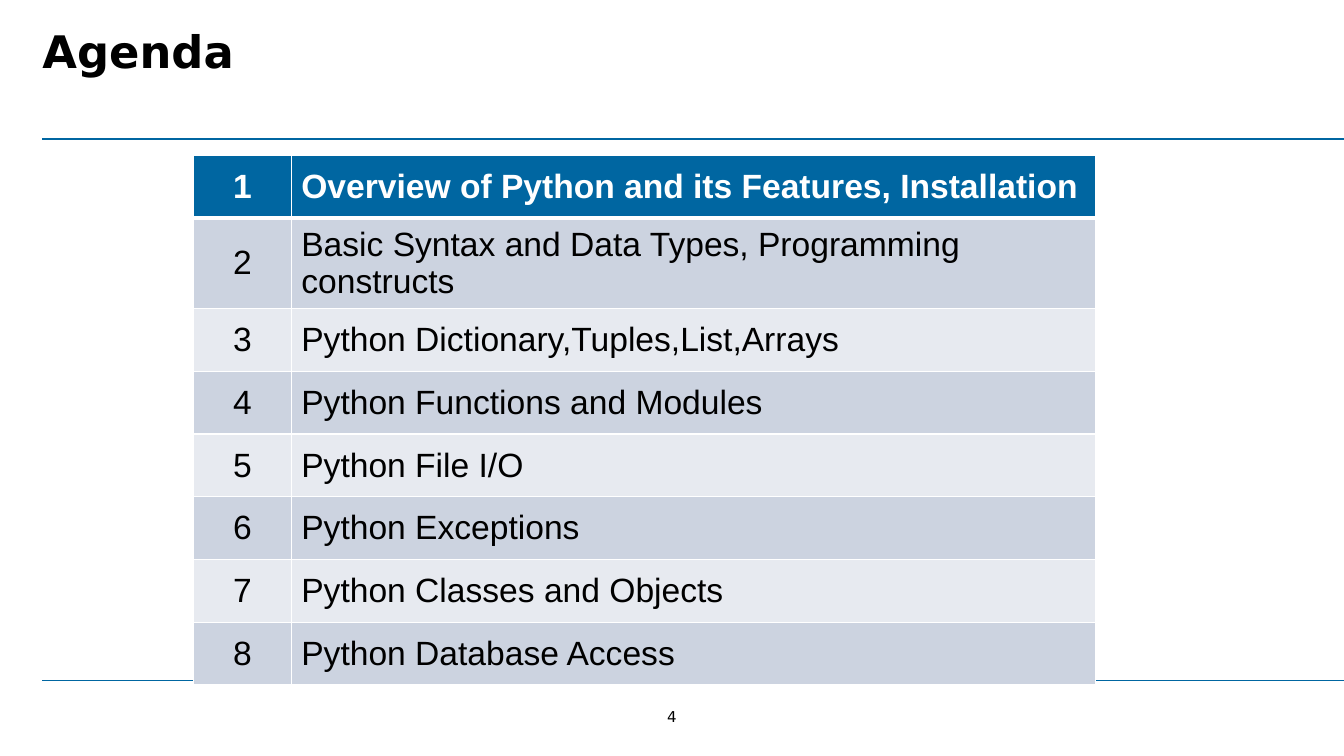
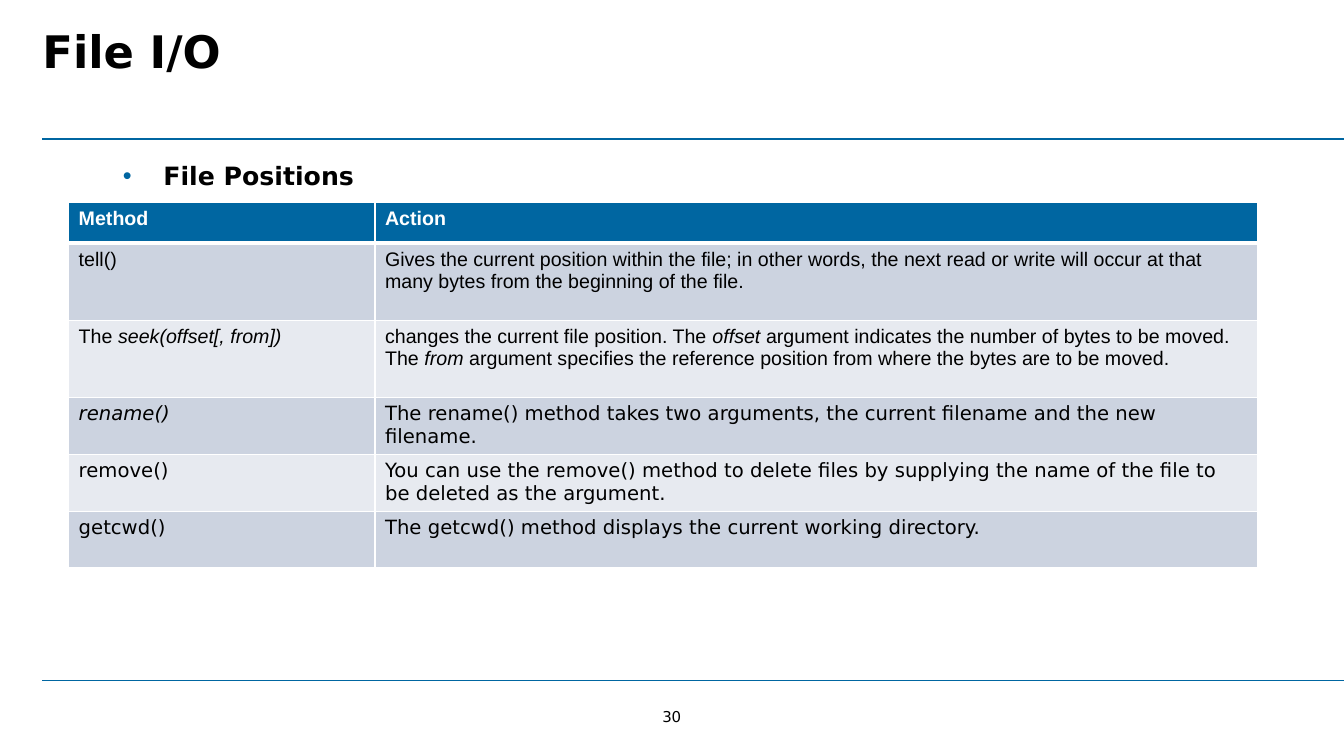
import pptx
import pptx.util
import pptx.dml.color
import pptx.enum.shapes
import pptx.enum.text
import pptx.oxml
import pptx.oxml.ns
from lxml import etree

Cm = pptx.util.Cm
Pt = pptx.util.Pt
ALIGN = pptx.enum.text.PP_ALIGN
ANCHOR = pptx.enum.text.MSO_ANCHOR
AUTO_SIZE = pptx.enum.text.MSO_AUTO_SIZE

SLIDE_WIDTH, SLIDE_HEIGHT = 33.87, 19.05
MARGIN = 1.07
CONTENT_WIDTH = 32.13
RULE_TOPS = (3.51, 17.15)
BLUE, BLACK, WHITE = "0066A1", "000000", "FFFFFF"
BANDS = ("CCD3E0", "E7EAF0")
HEADING_FONT, TABLE_FONT = "DejaVu Sans", "Arial"

AGENDA = [
    "Overview of Python and its Features, Installation",
    "Basic Syntax and Data Types, Programming constructs",
    "Python Dictionary,Tuples,List,Arrays",
    "Python Functions and Modules",
    "Python File I/O",
    "Python Exceptions",
    "Python Classes and Objects",
    "Python Database Access",
]

FILE_METHODS = [
    ("Method", "Action"),
    ("tell()", "Gives the current position within the file; in other words, the next read "
               "or write will occur at that many bytes from the beginning of the file."),
    ("The *seek(offset[, from])*",
     "changes the current file position. The *offset *argument indicates the number of bytes "
     "to be moved. The *from* argument specifies the reference position from where the bytes "
     "are to be moved."),
    ("*rename()*", "The rename() method takes two arguments, the current filename and the "
                   "new filename."),
    ("remove()", "You can use the remove() method to delete files by supplying the name of "
                 "the file to be deleted as the argument."),
    ("getcwd()", "The getcwd() method displays the current working directory."),
]


def color(value):
    return pptx.dml.color.RGBColor.from_string(value)


def add_child(parent, tag, **attributes):
    return etree.SubElement(parent, pptx.oxml.ns.qn(tag), attributes)


def style_run(run, size, font=HEADING_FONT, text_color=BLACK, bold=False, italic=False):
    run.font.size = Pt(size)
    run.font.name = font
    run.font.color.rgb = color(text_color)
    run.font.bold = bold
    run.font.italic = italic


def set_insets(text_frame, horizontal=0, vertical=0):
    text_frame.margin_left = text_frame.margin_right = Cm(horizontal)
    text_frame.margin_top = text_frame.margin_bottom = Cm(vertical)


def add_text(slide, text, left, top, width, height, size, bold=False, wrap=True):
    shape = slide.shapes.add_textbox(Cm(left), Cm(top), Cm(width), Cm(height))
    text_frame = shape.text_frame
    set_insets(text_frame)
    text_frame.word_wrap = wrap
    text_frame.text = text
    paragraph = text_frame.paragraphs[0]
    style_run(paragraph.runs[0], size, bold=bold)
    return text_frame


def add_rule(slide, top):
    rule = slide.shapes.add_connector(
        pptx.enum.shapes.MSO_CONNECTOR.STRAIGHT,
        Cm(MARGIN), Cm(top), Cm(SLIDE_WIDTH), Cm(top))
    rule.line.color.rgb = color(BLUE)
    rule.line.width = Pt(1.25)
    add_child(rule._element.spPr, "a:effectLst")


def add_page_number(slide, number):
    text_frame = add_text(slide, str(number), 16.6, 17.83, 0.66, 0.46, 10.7, wrap=False)
    text_frame.vertical_anchor = ANCHOR.MIDDLE
    text_frame.paragraphs[0].alignment = ALIGN.CENTER


def set_title(slide, text):
    title = slide.shapes.title
    title.left, title.top = Cm(MARGIN), Cm(0.46)
    title.width, title.height = Cm(CONTENT_WIDTH), Cm(2.67)
    text_frame = title.text_frame
    text_frame.text = text
    set_insets(text_frame, vertical=0.13)
    text_frame.vertical_anchor = ANCHOR.TOP
    text_frame.auto_size = AUTO_SIZE.NONE
    paragraph = text_frame.paragraphs[0]
    paragraph.alignment = ALIGN.LEFT
    style_run(paragraph.runs[0], 32, bold=True)


def add_slide(presentation, title, number):
    slide = presentation.slides.add_slide(presentation.slide_layouts[5])
    for top in RULE_TOPS:
        add_rule(slide, top)
    add_page_number(slide, number)
    set_title(slide, title)
    return slide


def add_bullet_heading(slide, text, top):
    text_frame = add_text(slide, text, MARGIN, top, CONTENT_WIDTH, 1, 18, bold=True)
    paragraph = text_frame.paragraphs[0]
    paragraph.space_after = Pt(4)
    properties = paragraph._p.get_or_add_pPr()
    properties.set("marL", str(Cm(3.05)))
    properties.set("indent", str(Cm(-1.02)))
    bullet_color = add_child(properties, "a:buClr")
    add_child(bullet_color, "a:srgbClr", val=BLUE)
    add_child(properties, "a:buFont", typeface="Arial")
    add_child(properties, "a:buChar", char="•")


def set_borders(cell, row_index):
    widths = {
        "a:lnL": 1,
        "a:lnR": 1,
        "a:lnT": 3 if row_index == 1 else 1,
        "a:lnB": 3 if row_index == 0 else 1,
    }
    properties = cell._tc.get_or_add_tcPr()
    for tag, width in widths.items():
        border = add_child(properties, tag, w=str(Pt(width)))
        fill = add_child(border, "a:solidFill")
        add_child(fill, "a:srgbClr", val=WHITE)


def fill_cell(cell, text, row_index, size, font):
    is_header = row_index == 0
    set_borders(cell, row_index)
    cell.fill.solid()
    cell.fill.fore_color.rgb = color(BLUE if is_header else BANDS[(row_index - 1) % 2])
    paragraph = cell.text_frame.paragraphs[0]
    for part_index, part in enumerate(text.split("*")):
        if part:
            run = paragraph.add_run()
            run.text = part
            style_run(run, size, font, WHITE if is_header else BLACK,
                      bold=is_header, italic=part_index % 2 == 1)


def add_grid(slide, rows, left, top, column_widths, row_heights, size, row_fonts):
    frame = slide.shapes.add_table(
        len(rows), len(column_widths), Cm(left), Cm(top),
        Cm(sum(column_widths)), Cm(sum(row_heights)))
    table = frame.table
    for column, width in zip(table.columns, column_widths):
        column.width = Cm(width)
    for row_index, (texts, height, font) in enumerate(zip(rows, row_heights, row_fonts)):
        table.rows[row_index].height = Cm(height)
        for column_index, text in enumerate(texts):
            fill_cell(table.cell(row_index, column_index), text, row_index, size, font)
    return table


def build_agenda(presentation):
    slide = add_slide(presentation, "Agenda", 4)
    rows = [(str(number), topic) for number, topic in enumerate(AGENDA, 1)]
    table = add_grid(slide, rows, 4.88, 3.91, (2.46, 20.27),
                     [1.58, 2.13] + [1.58] * 6, 24, [TABLE_FONT] * len(rows))
    for cell in table.iter_cells():
        cell.vertical_anchor = ANCHOR.MIDDLE
    for row in table.rows:
        row.cells[0].text_frame.paragraphs[0].alignment = ALIGN.CENTER


def build_file_methods(presentation):
    slide = add_slide(presentation, "File I/O", 30)
    add_bullet_heading(slide, "File Positions", 4.04)
    add_grid(slide, FILE_METHODS, 1.73, 5.1, (7.72, 22.23),
             [1.03] + [1.94] * 2 + [1.41] * 3, 14,
             [TABLE_FONT] * 3 + [HEADING_FONT] * 3)


def main():
    presentation = pptx.Presentation()
    presentation.slide_width = Cm(SLIDE_WIDTH)
    presentation.slide_height = Cm(SLIDE_HEIGHT)
    build_agenda(presentation)
    build_file_methods(presentation)
    presentation.save("out.pptx")


if __name__ == "__main__":
    main()
